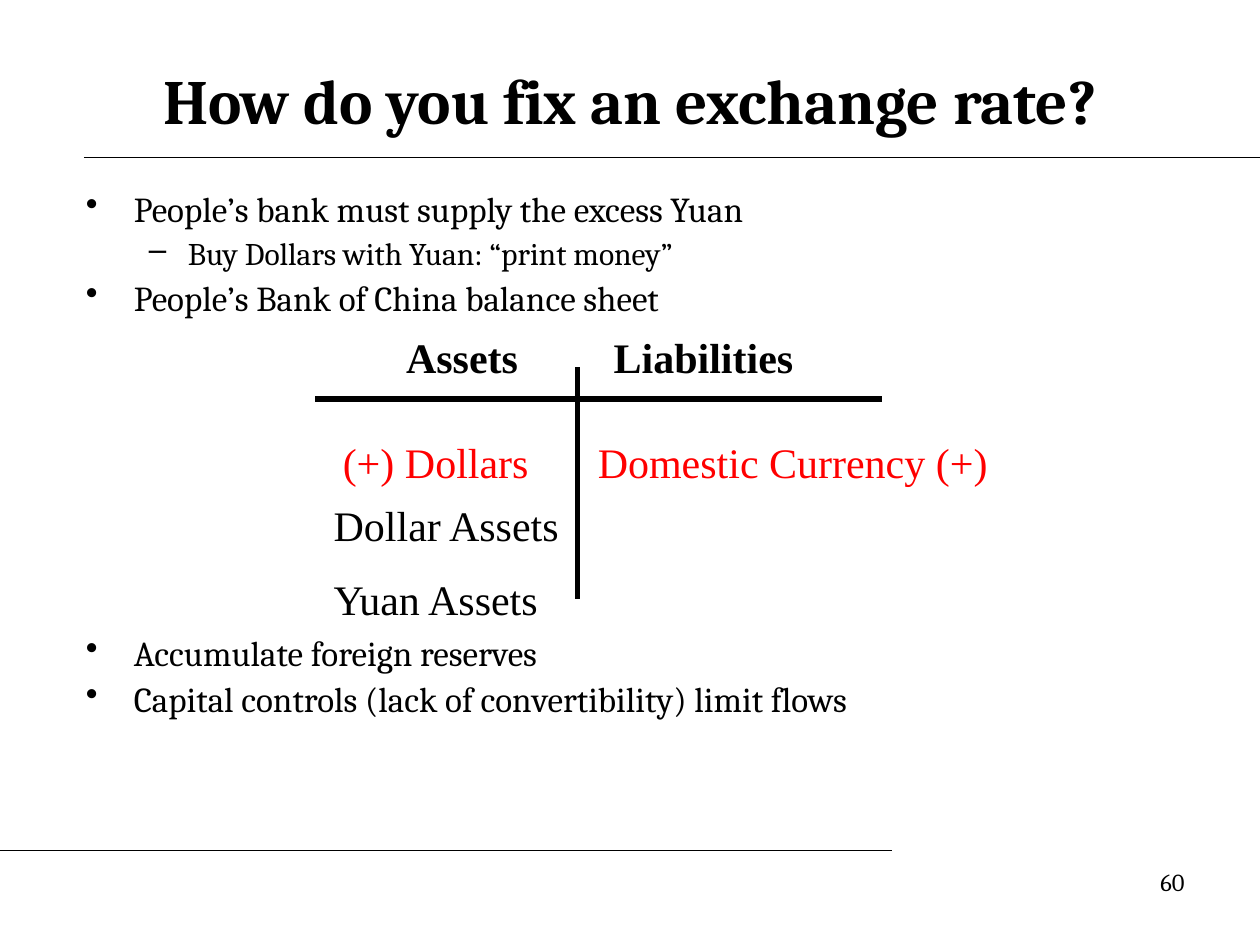
from dataclasses import dataclass

from lxml.etree import SubElement
from pptx import Presentation
from pptx.dml.color import RGBColor as RGB
from pptx.enum.shapes import MSO_CONNECTOR as Conn
from pptx.enum.text import MSO_ANCHOR as Anchor, MSO_AUTO_SIZE as Fit, PP_ALIGN as Align
from pptx.oxml.ns import qn
from pptx.util import Inches, Pt

COLS, ROWS = 120, 90


@dataclass(frozen=True)
class Theme:
    ink: RGB = RGB(0, 0, 0)
    accent: RGB = RGB(255, 0, 0)
    serif: str = "Cambria"
    ledger: str = "Times New Roman"
    title: int = 36
    entry: int = 24
    bullet: int = 20
    sub: int = 18
    number: int = 14
    hairline: float = 0.75
    rule: float = 3


def add_text(p, text, font, size, color, bold=False, align=Align.LEFT):
    p.alignment = align
    r = p.add_run()
    r.text = text
    r.font.name, r.font.size, r.font.bold = font, Pt(size), bold
    r.font.color.rgb = color


class Deck:
    def __init__(self, prs, theme):
        self.theme = theme
        self.s = prs.slides.add_slide(prs.slide_layouts[5])
        self.cell_w = prs.slide_width / COLS
        self.cell_h = prs.slide_height / ROWS

    def place(self, col, row, cols, rows):
        return (round(col * self.cell_w), round(row * self.cell_h),
                round(cols * self.cell_w), round(rows * self.cell_h))

    def title(self, text, *box):
        sp = self.s.shapes.title
        sp.left, sp.top, sp.width, sp.height = self.place(*box)
        tf = sp.text_frame
        tf.auto_size, tf.vertical_anchor = Fit.NONE, Anchor.MIDDLE
        t = self.theme
        add_text(tf.paragraphs[0], text, t.serif, t.title, t.ink, bold=True, align=Align.CENTER)

    def frame(self, *box):
        tf = self.s.shapes.add_textbox(*self.place(*box)).text_frame
        tf.word_wrap = True
        return tf

    def label(self, text, *box, **style):
        add_text(self.frame(*box).paragraphs[0], text, **style)

    def entry(self, text, *box, color=None, bold=False):
        t = self.theme
        self.label(text, *box, font=t.ledger, size=t.entry, color=color or t.ink,
                   bold=bold, align=Align.CENTER)

    def line(self, start, end, weight):
        x1, y1, x2, y2 = self.place(*start, *end)
        cx = self.s.shapes.add_connector(Conn.STRAIGHT, x1, y1, x2, y2)
        cx.line.color.rgb = self.theme.ink
        cx.line.width = Pt(weight)
        SubElement(cx._element.spPr, qn("a:effectLst"))

    def bullets(self, items, *box):
        t = self.theme
        tf = self.frame(*box)
        levels = ((t.bullet, "•", 0.38, -0.38), (t.sub, "–", 0.81, -0.31))
        for i, (level, before, text) in enumerate(items):
            p = tf.add_paragraph() if i else tf.paragraphs[0]
            size, mark, margin, indent = levels[level]
            p.level, p.line_spacing, p.space_before = level, 0.8, Pt(before)
            add_text(p, text, t.serif, size, t.ink)
            pPr = p._p.get_or_add_pPr()
            pPr.set("marL", str(Inches(margin)))
            pPr.set("indent", str(Inches(indent)))
            SubElement(pPr, qn("a:buChar"), char=mark)


def main():
    prs = Presentation()
    prs.slide_width, prs.slide_height = Inches(10), Inches(7.5)
    t = Theme()
    deck = Deck(prs, t)

    for start, end in (((8, 15), (COLS, 15)), ((15, 15), (COLS, 15)), ((0, 81), (85, 81))):
        deck.line(start, end, t.hairline)
    deck.title("How do you fix an exchange rate?", 6, 4, 108, 11)

    gap, ledger_gap = 7.4, 183.3
    deck.bullets((
        (0, 0, "People’s bank must supply the excess Yuan"),
        (1, gap, "Buy Dollars with Yuan: “print money”"),
        (0, gap, "People’s Bank of China balance sheet"),
        (0, ledger_gap, "Accumulate foreign reserves"),
        (0, gap, "Capital controls (lack of convertibility) limit flows"),
    ), 7, 18, 105, 62.5)

    deck.line((55, 35), (55, 57), t.rule)
    deck.line((30, 38), (84, 38), t.rule)
    deck.entry("Assets", 33, 31, 22, 6, bold=True)
    deck.entry("Liabilities", 56, 31, 22, 6, bold=True)
    deck.entry("(+) Dollars", 29, 41, 25, 6, color=t.accent)
    deck.entry("Domestic Currency (+)", 52, 41, 47, 6, color=t.accent)
    deck.entry("Dollar Assets", 28, 47, 29, 6)
    deck.entry("Yuan Assets", 30, 54, 23, 6)
    deck.label("60", 86, 82, 28, 6.25, font=t.serif, size=t.number, color=t.ink, align=Align.RIGHT)

    prs.save("out.pptx")


if __name__ == "__main__":
    main()
